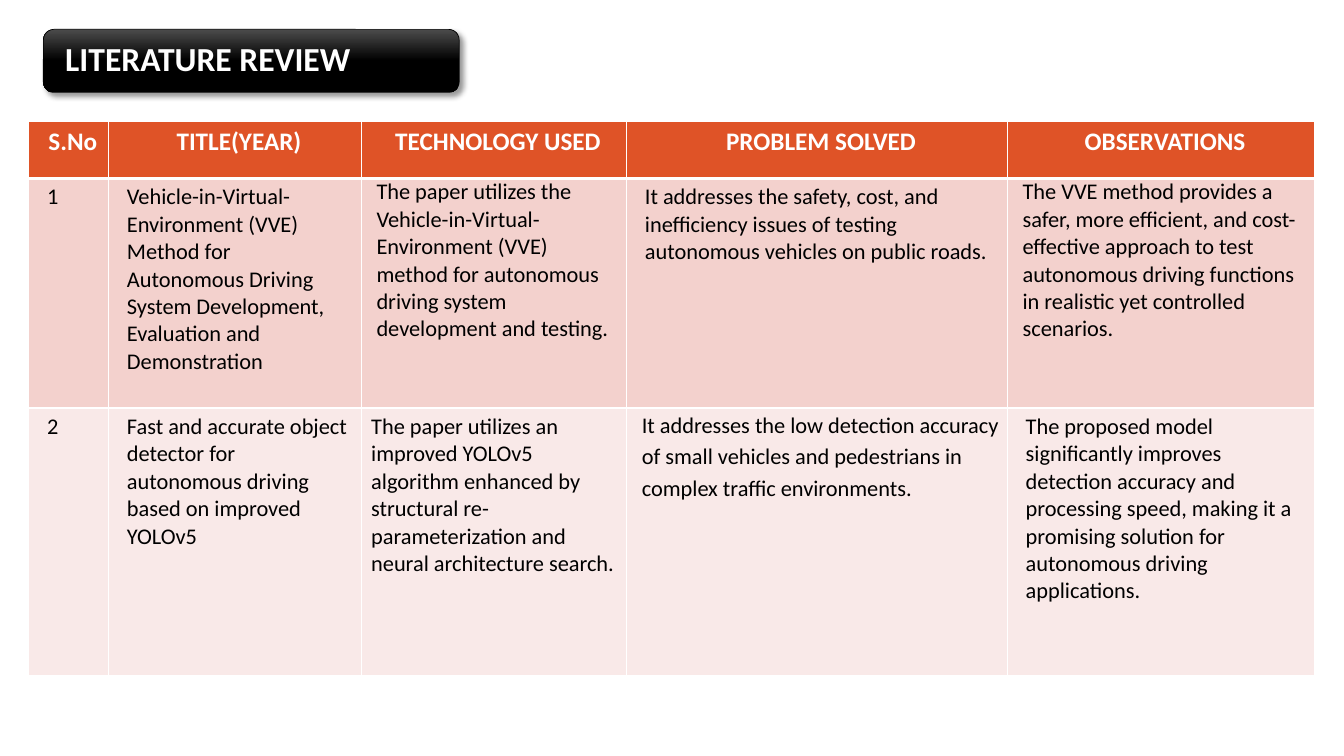
from lxml.etree import SubElement
from pptx import Presentation
from pptx.dml.color import RGBColor
from pptx.enum.shapes import MSO_SHAPE
from pptx.enum.text import MSO_ANCHOR, MSO_AUTO_SIZE, PP_ALIGN
from pptx.oxml import parse_xml
from pptx.oxml.ns import nsdecls, qn
from pptx.util import Pt

BLACK = RGBColor(0x00, 0x00, 0x00)
CHARCOAL = RGBColor(0x4B, 0x4B, 0x4B)
WHITE = RGBColor(0xFF, 0xFF, 0xFF)
ORANGE = RGBColor(0xDF, 0x53, 0x27)
ROW_FILLS = [RGBColor(0xF3, 0xD1, 0xCD), RGBColor(0xF9, 0xE9, 0xE8)]

COLUMN_WIDTHS = [57, 180.5, 189.5, 272, 219.5]
ROW_HEIGHTS = [41, 164, 191]
HEADERS = ["S.No", "TITLE(YEAR)", "TECHNOLOGY USED", "PROBLEM SOLVED", "OBSERVATIONS"]
PAPERS = [
    ["1",
     "Vehicle-in-Virtual-Environment (VVE) Method for Autonomous Driving System "
     "Development, Evaluation and Demonstration",
     "The paper utilizes the Vehicle-in-Virtual-Environment (VVE) method for "
     "autonomous driving system development and testing.",
     "It addresses the safety, cost, and inefficiency issues of testing autonomous "
     "vehicles on public roads.",
     "The VVE method provides a safer, more efficient, and cost-effective approach to "
     "test autonomous driving functions in realistic yet controlled scenarios."],
    ["2",
     "Fast and accurate object detector for autonomous driving based on improved YOLOv5",
     "The paper utilizes an improved YOLOv5 algorithm enhanced by structural "
     "re-parameterization and neural architecture search.",
     "It addresses the low detection accuracy of small vehicles and pedestrians in "
     "complex traffic environments.",
     "The proposed model significantly improves detection accuracy and processing "
     "speed, making it a promising solution for autonomous driving applications."],
]
TIGHT_CELLS = {(1, 2), (1, 4), (2, 3)}
UNINDENTED_CELLS = {(2, 2)}
LOOSE_CELLS = {(2, 3)}


def write_text(frame, text, size=16, color=BLACK, bold=False, align=PP_ALIGN.LEFT,
               indent=0, space=0, line_spacing=1.0):
    para = frame.paragraphs[0]
    para.alignment = align
    para.line_spacing = line_spacing
    para.space_before = para.space_after = Pt(space)
    properties = para._p.get_or_add_pPr()
    properties.set("marL", str(Pt(indent)))
    properties.set("indent", "0")
    span = para.add_run()
    span.text = text
    span.font.name = "Calibri"
    span.font.size = Pt(size)
    span.font.bold = bold
    span.font.color.rgb = color


def set_borders(cell, bottom=1, top=1):
    properties = cell._tc.get_or_add_tcPr()
    for index, (side, width) in enumerate([("L", 1), ("R", 1), ("T", top), ("B", bottom)]):
        border = parse_xml(
            f'<a:ln{side} {nsdecls("a")} w="{Pt(width)}"><a:solidFill>'
            f'<a:srgbClr val="{WHITE}"/></a:solidFill></a:ln{side}>')
        properties.insert(index, border)


class ReviewSlide:
    def __init__(self, deck):
        self.page = deck.slides.add_slide(deck.slide_layouts[5])

    def banner(self, left, top, width, height):
        box = self.page.shapes.add_shape(
            MSO_SHAPE.ROUNDED_RECTANGLE, Pt(left), Pt(top), Pt(width), Pt(height))
        box.fill.gradient()
        box.fill.gradient_angle = 270
        for stop, color, position in zip(box.fill.gradient_stops, [CHARCOAL, BLACK], [0, 0.5]):
            stop.color.rgb = color
            stop.position = position
        box.line.color.rgb = BLACK
        box.line.width = Pt(0.5)
        box.shadow.inherit = False
        effects = box._element.spPr.find(qn("a:effectLst"))
        shadow = SubElement(effects, qn("a:outerShdw"), blurRad=str(Pt(4)), dist=str(Pt(3)),
                            dir="2700000", algn="tl", rotWithShape="0")
        shade = SubElement(shadow, qn("a:srgbClr"), val=str(BLACK))
        SubElement(shade, qn("a:alpha"), val="40000")

    def title(self, text, left, top, width, height):
        """Fill the title placeholder and bring it in front of the banner."""
        title = self.page.shapes.title
        title.left, title.top, title.width, title.height = map(Pt, (left, top, width, height))
        frame = title.text_frame
        frame.word_wrap = True
        frame.auto_size = MSO_AUTO_SIZE.NONE
        frame.vertical_anchor = MSO_ANCHOR.MIDDLE
        frame.margin_left = Pt(12.6)
        frame.margin_right = frame.margin_top = frame.margin_bottom = Pt(7.2)
        write_text(frame, text, size=24, color=WHITE, bold=True, line_spacing=0.9)
        self.page.shapes._spTree.append(title._element)

    def table(self, rows, left, top):
        table = self.page.shapes.add_table(
            len(rows), len(COLUMN_WIDTHS), Pt(left), Pt(top),
            Pt(sum(COLUMN_WIDTHS)), Pt(sum(ROW_HEIGHTS))).table
        for column, width in zip(table.columns, COLUMN_WIDTHS):
            column.width = Pt(width)
        for row, height in zip(table.rows, ROW_HEIGHTS):
            row.height = Pt(height)
        for row_index, texts in enumerate(rows):
            for column_index, text in enumerate(texts):
                self.table_cell(table, row_index, column_index, text)

    def table_cell(self, table, row, column, text):
        cell = table.cell(row, column)
        place = (row, column)
        cell.fill.solid()
        if row == 0:
            cell.fill.fore_color.rgb = ORANGE
            set_borders(cell, bottom=3)
            write_text(cell.text_frame, text, size=18, color=WHITE, bold=True,
                       align=PP_ALIGN.CENTER, indent=6, space=0.1)
            return
        cell.fill.fore_color.rgb = ROW_FILLS[row - 1]
        set_borders(cell, top=3 if row == 1 else 1)
        if place in TIGHT_CELLS:
            cell.margin_left = cell.margin_right = Pt(5)
            cell.margin_top = cell.margin_bottom = 0
        write_text(cell.text_frame, text, space=0.5,
                   indent=0 if place in UNINDENTED_CELLS else 6,
                   line_spacing=1.15 if place in LOOSE_CELLS else 1.0)


def main():
    deck = Presentation()
    deck.slide_width, deck.slide_height = Pt(960), Pt(540)
    review = ReviewSlide(deck)
    review.banner(31, 21, 297, 45)
    review.title("LITERATURE REVIEW", 34, 23, 292, 40)
    review.table([HEADERS, *PAPERS], 20.5, 86.5)
    deck.save("out.pptx")


if __name__ == "__main__":
    main()
